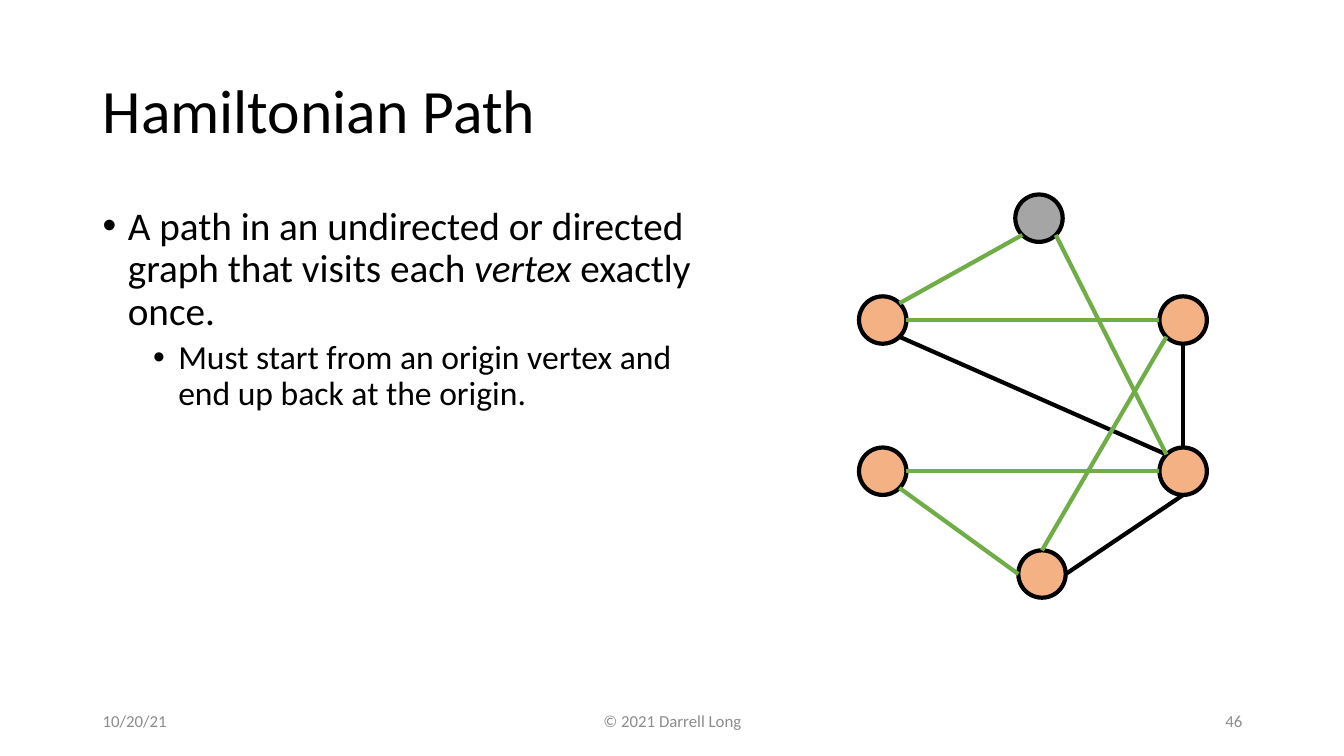
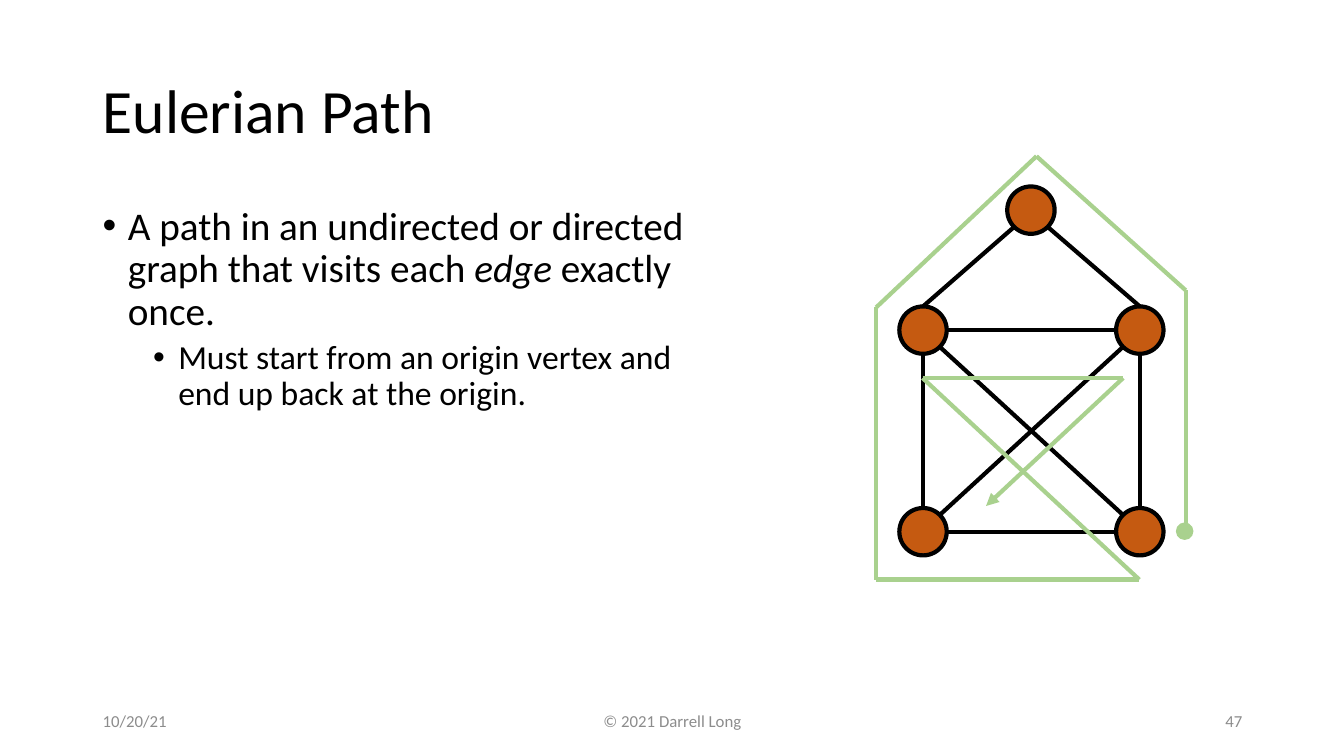
import math
from lxml import etree
from pptx import Presentation
from pptx import util as u
from pptx.dml import color
from pptx.enum import shapes, text
from pptx.oxml import ns

COLORS = {
    "black": "000000",
    "footer": "8C8C8C",
    "origin": "A5A5A5",
    "peach": "F4B183",
    "rust": "C55A11",
    "path": "70AD47",
    "trail": "A9D18E",
}
FONT = "Calibri"
NODE_SIZE = 0.47
MARGIN = 0.92
TITLE_FORMAT = {"size": u.Pt(44)}
FOOTER_FORMAT = {"size": u.Pt(12)}
BULLET_LEVELS = [
    {"size": 28, "indent": 0.25, "before": 0},
    {"size": 24, "indent": 0.75, "before": 5},
]
SITES = ["top", "top_left", "left", "bottom_left", "bottom", "bottom_right", "right", "top_right"]

HAMILTON_NODES = {
    "summit": (10.07, 1.93, "origin"),
    "upper_left": (8.52, 2.94, "peach"),
    "upper_right": (11.5, 2.94, "peach"),
    "lower_right": (11.5, 4.44, "peach"),
    "base": (10.1, 5.46, "peach"),
    "lower_left": (8.52, 4.44, "peach"),
}
HAMILTON_EDGES = [
    ("upper_left", "right", "upper_right", "left", "path"),
    ("upper_left", "bottom_right", "lower_right", "top_left", "black"),
    ("lower_left", "right", "lower_right", "left", "path"),
    ("lower_left", "bottom_right", "base", "left", "path"),
    ("base", "right", "lower_right", "bottom", "black"),
    ("upper_right", "bottom", "lower_right", "top", "black"),
    ("summit", "bottom_right", "lower_right", "top_left", "path"),
    ("summit", "bottom_left", "upper_left", "top_right", "path"),
    ("upper_right", "bottom_left", "base", "top", "path"),
]
EULER_NODES = {
    "roof": (9.99, 1.85, "rust"),
    "upper_left": (8.92, 3.04, "rust"),
    "upper_right": (11.07, 3.04, "rust"),
    "lower_left": (8.92, 5.04, "rust"),
    "lower_right": (11.07, 5.04, "rust"),
}
EULER_EDGES = [
    ("roof", "bottom_left", "upper_left", "top", "black"),
    ("roof", "bottom_right", "upper_right", "top", "black"),
    ("upper_left", "bottom", "lower_left", "top", "black"),
    ("upper_right", "bottom", "lower_right", "top", "black"),
    ("upper_left", "right", "upper_right", "left", "black"),
    ("lower_left", "right", "lower_right", "left", "black"),
    ("upper_left", "bottom_right", "lower_right", "top_left", "black"),
    ("upper_right", "bottom_left", "lower_left", "top_right", "black"),
]
EULER_TRAIL = [
    (11.76, 5.27), (11.76, 2.88), (10.28, 1.55), (8.69, 3.05), (8.69, 5.75),
    (11.3, 5.75), (9.15, 3.75), (11.14, 3.75), (9.78, 5.02),
]


def rgb(name):
    return color.RGBColor.from_string(COLORS[name])


def apply_format(target, values):
    for name, value in values.items():
        setattr(target, name, value)


def add_run(paragraph, wording, values, color_name="black"):
    run = paragraph.add_run()
    run.text = wording
    apply_format(run.font, {"name": FONT, **values})
    run.font.color.rgb = rgb(color_name)


def add_text_frame(slide, left, top, width, height, anchor):
    frame = slide.shapes.add_textbox(*map(u.Inches, (left, top, width, height))).text_frame
    apply_format(frame, {"word_wrap": True, "vertical_anchor": anchor})
    return frame


def add_title(slide, wording):
    frame = add_text_frame(slide, MARGIN, 0.4, 11.5, 1.45, text.MSO_ANCHOR.MIDDLE)
    paragraph = frame.paragraphs[0]
    paragraph.line_spacing = 0.9
    add_run(paragraph, wording, TITLE_FORMAT)


def add_footer(slide, number):
    items = [
        (MARGIN, 3, "10/20/21", text.PP_ALIGN.LEFT),
        (4.42, 4.5, "© 2021 Darrell Long", text.PP_ALIGN.CENTER),
        (9.42, 3, str(number), text.PP_ALIGN.RIGHT),
    ]
    for left, width, wording, alignment in items:
        frame = add_text_frame(slide, left, 6.95, width, 0.4, text.MSO_ANCHOR.MIDDLE)
        paragraph = frame.paragraphs[0]
        paragraph.alignment = alignment
        add_run(paragraph, wording, FOOTER_FORMAT, "footer")


def add_bullet(paragraph, level, pieces):
    style = BULLET_LEVELS[level]
    properties = paragraph._p.get_or_add_pPr()
    properties.set("marL", str(u.Inches(style["indent"])))
    properties.set("indent", str(u.Inches(-0.25)))
    etree.SubElement(properties, ns.qn("a:buFont")).set("typeface", "Arial")
    etree.SubElement(properties, ns.qn("a:buChar")).set("char", "•")
    apply_format(paragraph, {
        "level": level, "line_spacing": 0.9, "space_before": u.Pt(style["before"]),
    })
    for wording, italic in pieces:
        add_run(paragraph, wording, {"size": u.Pt(style["size"]), "italic": italic})


def add_definition(slide, visited):
    frame = add_text_frame(slide, MARGIN, 2, 6.1, 4.76, text.MSO_ANCHOR.TOP)
    add_bullet(frame.paragraphs[0], 0, [
        ("A path in an undirected or directed graph that visits each ", False),
        (visited, True),
        (" exactly once.", False),
    ])
    add_bullet(frame.add_paragraph(), 1, [
        ("Must start from an origin vertex and end up back at the origin.", False),
    ])


def add_circle(slide, left, top, size, fill, line, line_width):
    shape = slide.shapes.add_shape(
        shapes.MSO_SHAPE.OVAL, *map(u.Inches, (left, top, size, size)))
    shape.shadow.inherit = False
    shape.fill.solid()
    shape.fill.fore_color.rgb = rgb(fill)
    shape.line.color.rgb = rgb(line)
    shape.line.width = u.Pt(line_width)
    return shape


def add_line(slide, start, end, color_name):
    connector = slide.shapes.add_connector(
        shapes.MSO_CONNECTOR.STRAIGHT, *map(u.Inches, (*start, *end)))
    connector.line.color.rgb = rgb(color_name)
    connector.line.width = u.Pt(3)
    etree.SubElement(connector._element.spPr, ns.qn("a:effectLst"))
    return connector


def site_point(node, site):
    angle = math.radians(90 + 45 * SITES.index(site))
    radius = NODE_SIZE / 2
    left, top, _ = node
    return left + radius * (1 + math.cos(angle)), top + radius * (1 - math.sin(angle))


def glue(connector, tag, shape, site):
    joints = connector._element.nvCxnSpPr.cNvCxnSpPr
    joint = etree.SubElement(joints, ns.qn(tag))
    joint.set("id", str(shape.shape_id))
    joint.set("idx", str(SITES.index(site)))


def add_graph(slide, nodes, edges):
    circles = {
        name: add_circle(slide, left, top, NODE_SIZE, fill, "black", 3)
        for name, (left, top, fill) in nodes.items()
    }
    for source, source_site, target, target_site, color_name in edges:
        connector = add_line(
            slide, site_point(nodes[source], source_site),
            site_point(nodes[target], target_site), color_name)
        glue(connector, "a:stCxn", circles[source], source_site)
        glue(connector, "a:endCxn", circles[target], target_site)


def add_trail(slide, points):
    for start, end in zip(points, points[1:]):
        connector = add_line(slide, start, end, "trail")
    etree.SubElement(connector.line._get_or_add_ln(), ns.qn("a:tailEnd")).set("type", "triangle")
    add_circle(slide, 11.67, 5.19, 0.16, "trail", "trail", 1)


def add_path_slide(presentation, title, visited, number, nodes, edges):
    slide = presentation.slides.add_slide(presentation.slide_layouts[6])
    add_title(slide, title)
    add_definition(slide, visited)
    add_footer(slide, number)
    add_graph(slide, nodes, edges)
    return slide


def main():
    presentation = Presentation()
    apply_format(presentation, {"slide_width": u.Inches(13.33), "slide_height": u.Inches(7.5)})
    add_path_slide(presentation, "Hamiltonian Path", "vertex", 46, HAMILTON_NODES, HAMILTON_EDGES)
    euler_slide = add_path_slide(
        presentation, "Eulerian Path", "edge", 47, EULER_NODES, EULER_EDGES)
    add_trail(euler_slide, EULER_TRAIL)
    presentation.save("out.pptx")


if __name__ == "__main__":
    main()
